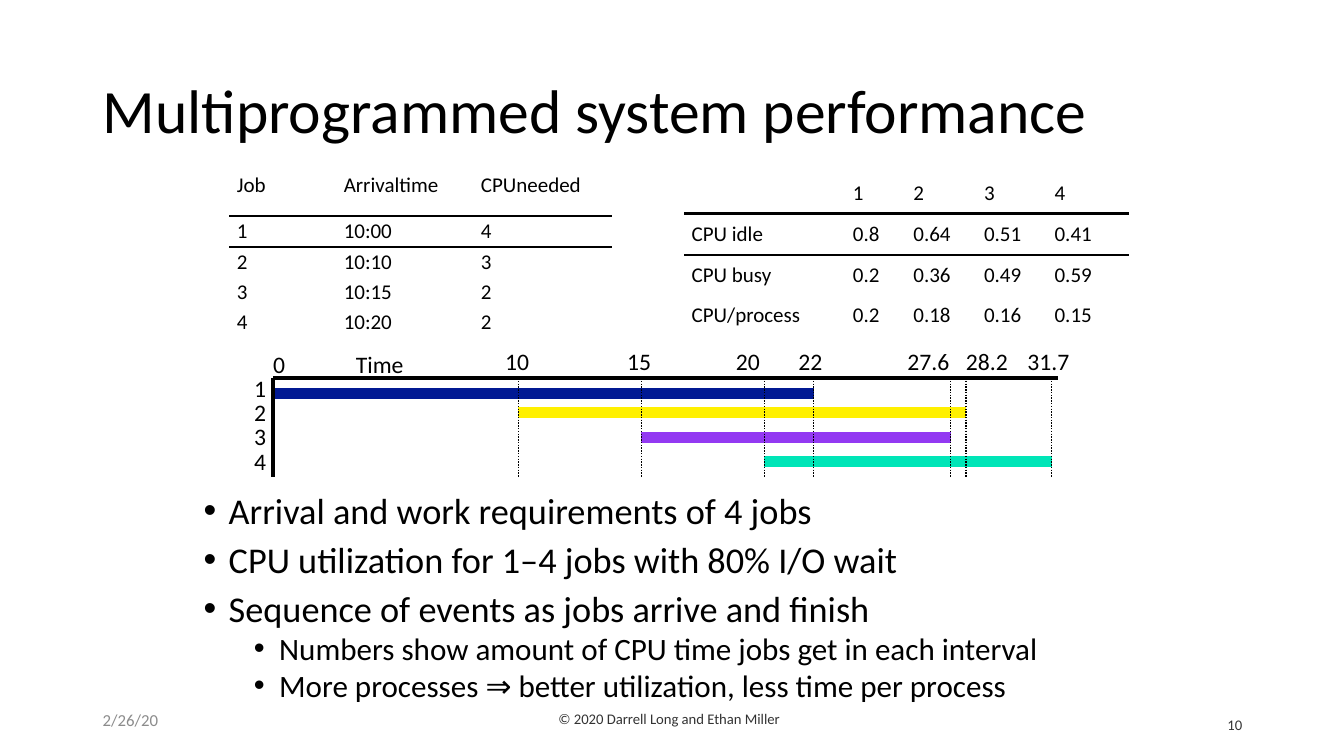
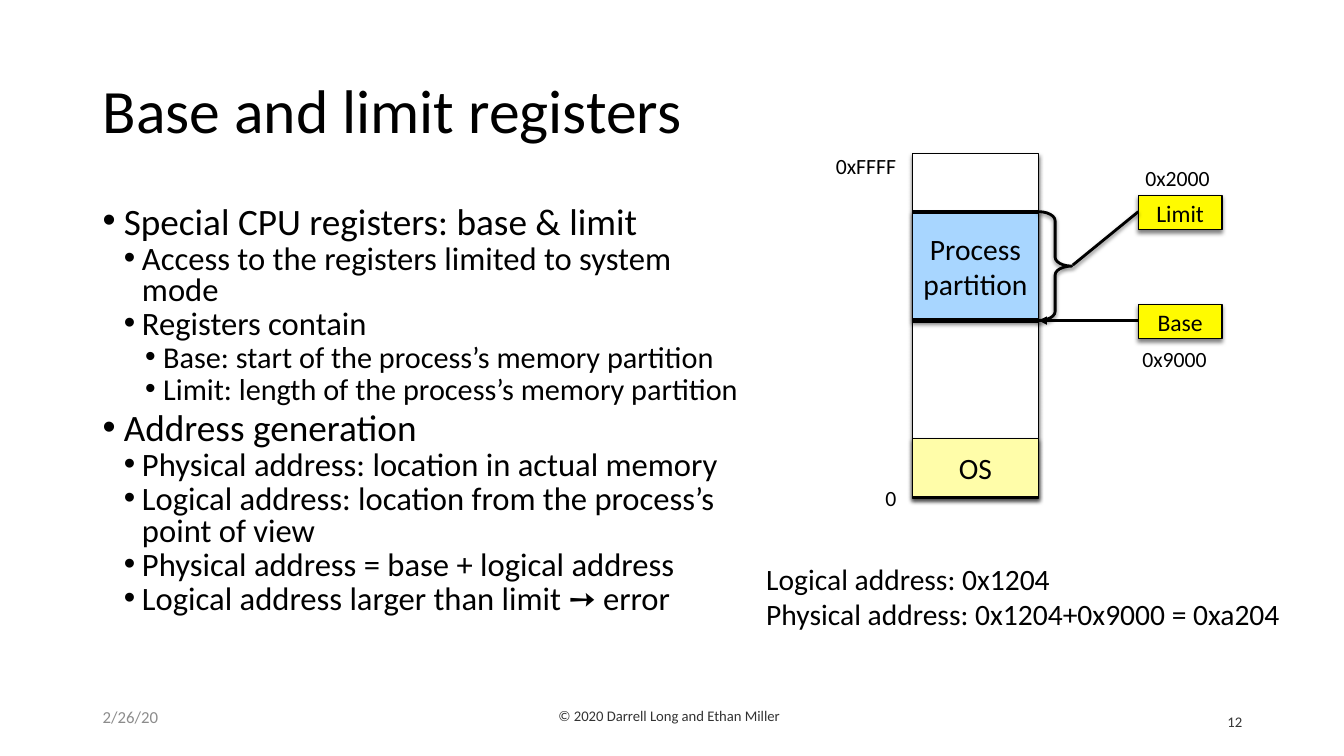
from lxml import etree
from pptx import Presentation
from pptx import util as u
from pptx.dml.color import RGBColor
from pptx.enum import dml, shapes, text
from pptx.oxml.ns import qn

BLACK = RGBColor(0x00, 0x00, 0x00)
WHITE = RGBColor(0xFF, 0xFF, 0xFF)
CREDIT_GREY = RGBColor(0x33, 0x33, 0x33)
DATE_GREY = RGBColor(0x8C, 0x8C, 0x8C)
NAVY = RGBColor(0x01, 0x19, 0x93)
GOLD = RGBColor(0xFF, 0xF0, 0x00)
PURPLE = RGBColor(0x93, 0x39, 0xF2)
TEAL = RGBColor(0x00, 0xE5, 0xB7)
SKY = RGBColor(0xA8, 0xD6, 0xFF)
CREAM = RGBColor(0xFF, 0xFD, 0xA9)
YELLOW = RGBColor(0xFF, 0xFB, 0x00)

EMU_PER_PX = 9144
LEFT, CENTER, RIGHT = text.PP_ALIGN.LEFT, text.PP_ALIGN.CENTER, text.PP_ALIGN.RIGHT
TOP, MIDDLE = text.MSO_ANCHOR.TOP, text.MSO_ANCHOR.MIDDLE


def px(*lengths):
    return [u.Emu(round(length * EMU_PER_PX)) for length in lengths]


def add_xml(parent, tag, **attributes):
    return etree.SubElement(parent, qn(tag), attributes)


class Deck:
    font = "Calibri"

    def __init__(self):
        self.prs = Presentation()
        self.prs.slide_width, self.prs.slide_height = px(1333, 750)
        self.slide = None

    def new_slide(self, title, number, footer_top):
        self.slide = self.prs.slides.add_slide(self.prs.slide_layouts[6])
        heading = self.text((92, 40, 1150, 145), title, 44, margins=(10, 5))
        heading.text_frame.paragraphs[0].line_spacing = 0.9
        self.text((1156, footer_top, 86, 40), number, 10.5, CREDIT_GREY, RIGHT,
                  margins=(10, 5))
        self.text((544, footer_top, 575, 40), "© 2020 Darrell Long and Ethan Miller",
                  10.5, CREDIT_GREY, anchor=TOP, margins=(10, 5))
        self.text((92, footer_top, 136, 40), "2/26/20", 12, DATE_GREY,
                  anchor=TOP, margins=(10, 5))

    def fill_paragraph(self, paragraph, words, size, colour=BLACK, align=LEFT):
        paragraph.text = words
        paragraph.alignment = align
        for run in paragraph.runs:
            run.font.name = self.font
            run.font.size = u.Pt(size)
            run.font.color.rgb = colour

    def frame(self, shape, margins, anchor=MIDDLE, wrap=True):
        frame = shape.text_frame
        frame.word_wrap = wrap
        frame.vertical_anchor = anchor
        frame.margin_left, frame.margin_top = px(*margins)
        frame.margin_right, frame.margin_bottom = px(*margins)
        return frame

    def text(self, box, words, size, colour=BLACK, align=LEFT, anchor=MIDDLE,
             margins=(1, 1), wrap=True):
        label = self.slide.shapes.add_textbox(*px(*box))
        frame = self.frame(label, margins, anchor, wrap)
        self.fill_paragraph(frame.paragraphs[0], words, size, colour, align)
        return label

    def bullets(self, box, levels, items):
        body = self.slide.shapes.add_textbox(*px(*box))
        frame = self.frame(body, (10, 5), TOP)
        for index, (level, words) in enumerate(items):
            size, margin, hang, before = levels[level]
            paragraph = frame.add_paragraph() if index else frame.paragraphs[0]
            paragraph.level = level
            properties = paragraph._p.get_or_add_pPr()
            left, indent = px(margin, -hang)
            properties.set("marL", str(left))
            properties.set("indent", str(indent))
            add_xml(properties, "a:buFont", typeface="Arial")
            add_xml(properties, "a:buChar", char="•")
            paragraph.line_spacing = 0.8
            paragraph.space_before = u.Pt(before if index else 0)
            self.fill_paragraph(paragraph, words, size)

    def rule(self, cell, tag):
        border = etree.Element(qn(tag), w=str(u.Pt(2)))
        add_xml(add_xml(border, "a:solidFill"), "a:srgbClr", val=str(BLACK))
        cell._tc.get_or_add_tcPr().insert(0, border)

    def table(self, left, top, widths, heights, rows):
        box = px(left, top, sum(widths), sum(heights))
        table = self.slide.shapes.add_table(len(rows), len(widths), *box).table
        table.first_row = table.horz_banding = False
        for column, width in zip(table.columns, px(*widths)):
            column.width = width
        for row, height in zip(table.rows, px(*heights)):
            row.height = height
        for r, row in enumerate(rows):
            for c, words in enumerate(row):
                cell = table.cell(r, c)
                cell.fill.background()
                cell.vertical_anchor = MIDDLE
                cell.margin_left, cell.margin_right = px(7, 0)
                cell.margin_top = cell.margin_bottom = 0
                self.fill_paragraph(cell.text_frame.paragraphs[0], words, 15)
                if r < 2:
                    self.rule(cell, "a:lnT" if r else "a:lnB")

    def cast_shadow(self, effects):
        shadow = add_xml(effects, "a:outerShdw", blurRad=str(u.Pt(3)),
                         dist=str(u.Pt(2)), dir="5400000", rotWithShape="0")
        add_xml(add_xml(shadow, "a:srgbClr", val=str(BLACK)), "a:alpha", val="50000")

    def line(self, start, end, width, colour=BLACK, dotted=False, arrow=False,
             shadow=False):
        line = self.slide.shapes.add_connector(
            shapes.MSO_CONNECTOR.STRAIGHT, *px(*start, *end))
        line.line.width = u.Pt(width)
        line.line.color.rgb = colour
        if dotted:
            line.line.dash_style = dml.MSO_LINE.ROUND_DOT
        properties = line._element.spPr
        if arrow:
            add_xml(properties.find(qn("a:ln")), "a:tailEnd", type="triangle")
        effects = add_xml(properties, "a:effectLst")
        if shadow:
            self.cast_shadow(effects)

    def shape(self, box, fill=None, words="", size=21.1, width=1,
              kind=shapes.MSO_SHAPE.RECTANGLE):
        shape = self.slide.shapes.add_shape(kind, *px(*box))
        shape.shadow.inherit = False
        self.cast_shadow(shape._element.spPr.find(qn("a:effectLst")))
        if fill is None:
            shape.fill.background()
        else:
            shape.fill.solid()
            shape.fill.fore_color.rgb = fill
        shape.line.color.rgb = BLACK
        shape.line.width = u.Pt(width)
        if words:
            frame = self.frame(shape, (4, 4))
            self.fill_paragraph(frame.paragraphs[0], words, size, align=CENTER)
        return shape


def performance_slide(deck):
    deck.new_slide("Multiprogrammed system performance", "10", 699)
    deck.bullets((192, 488, 949, 222), [(25.9, 25, 25, 10), (22.2, 75, 25, 5)], [
        (0, "Arrival and work requirements of 4 jobs"),
        (0, "CPU utilization for 1–4 jobs with 80% I/O wait"),
        (0, "Sequence of events as jobs arrive and finish"),
        (1, "Numbers show amount of CPU time jobs get in each interval"),
        (1, "More processes ⇒ better utilization, less time per process"),
    ])
    deck.table(228, 154, [106, 136, 136], [60, 31, 30, 30, 30], [
        ["Job", "Arrivaltime", "CPUneeded"],
        ["1", "10:00", "4"],
        ["2", "10:10", "3"],
        ["3", "10:15", "2"],
        ["4", "10:20", "2"],
    ])
    deck.table(679, 171, [160, 60, 70, 70, 80], [41, 41, 40, 40], [
        ["", "1", "2", "3", "4"],
        ["CPU idle", "0.8", "0.64", "0.51", "0.41"],
        ["CPU busy", "0.2", "0.36", "0.49", "0.59"],
        ["CPU/process", "0.2", "0.18", "0.16", "0.15"],
    ])

    axis_left, axis_top, axis_bottom = 271, 375, 473

    def time_x(minute):
        return round(axis_left + 24.35 * minute)

    jobs = [(0, 22, 390, NAVY), (10, 28.2, 409, GOLD),
            (15, 27.6, 434, PURPLE), (20, 31.7, 458, TEAL)]
    for job, (start, finish, bar_y, colour) in enumerate(jobs):
        deck.line((time_x(start), bar_y), (time_x(finish), bar_y), 8, colour)
        deck.text((252, 374 + 24 * job, 12, 22), str(job + 1), 16.9, margins=(0, 0))
    deck.line((axis_left, axis_top), (1049, axis_top), 3)
    deck.line((axis_left, axis_top), (axis_left, axis_bottom), 3)

    events = [(10, 500), (15, 621), (20, 729), (22, 791),
              (27.6, 899), (28.2, 957), (31.7, 1018)]
    for minute, label_left in events:
        x = time_x(minute)
        deck.line((x, axis_top), (x, axis_bottom), 1, dotted=True)
        deck.text((label_left, 347, 60, 22), str(minute), 16.9)
    deck.text((270, 347, 25, 29), "0", 16.9)
    deck.text((352, 347, 66, 29), "Time", 16.9)


def registers_slide(deck):
    deck.new_slide("Base and limit registers", "12", 696)
    levels = [(26.6, 21, 21, 4.9), (23.3, 39, 18, 2.1), (21.6, 60, 18, 2.1)]
    deck.bullets((92, 200, 656, 476), levels, [
        (0, "Special CPU registers: base & limit"),
        (1, "Access to the registers limited to system mode"),
        (1, "Registers contain"),
        (2, "Base: start of the process’s memory partition"),
        (2, "Limit: length of the process’s memory partition"),
        (0, "Address generation"),
        (1, "Physical address: location in actual memory"),
        (1, "Logical address: location from the process’s point of view"),
        (1, "Physical address = base + logical address"),
        (1, "Logical address larger than limit ➙ error"),
    ])

    memory_left, memory_width = 905, 125
    memory_right = memory_left + memory_width
    limit_y, base_y = 210, 318
    register_left = 1129
    for top, height, fill, words in [(152, 342, WHITE, ""),
                                     (limit_y, base_y - limit_y, SKY, "Process partition"),
                                     (435, 58, CREAM, "OS")]:
        deck.shape((memory_left, top, memory_width, height), fill, words)
    for name, top in [("Limit", 194), ("Base", 302)]:
        deck.shape((register_left, top, 83, 34), YELLOW, name, 16.9)
    for y in (base_y, limit_y):
        deck.line((memory_left, y), (memory_right, y), 3)
    deck.line((register_left, base_y), (memory_right, base_y), 2, arrow=True)
    brace = deck.shape((memory_right, limit_y, 33, base_y - limit_y), width=2,
                       kind=shapes.MSO_SHAPE.RIGHT_BRACE)
    brace.adjustments[0] = 0.27
    deck.line((1064, 263), (register_left, limit_y), 2, shadow=True)

    for address, left, top, width in [("0", 874, 477, 19), ("0xFFFF", 825, 148, 68),
                                      ("0x2000", 1132, 159, 73),
                                      ("0x9000", 1129, 339, 73)]:
        deck.text((left, top, width, 34), address, 15.5, margins=(4, 4), wrap=False)
    deck.text((756, 552, 524, 79),
              "Logical address: 0x1204\nPhysical address: 0x1204+0x9000 = 0xa204",
              21.1, margins=(4, 4))


def main():
    deck = Deck()
    performance_slide(deck)
    registers_slide(deck)
    deck.prs.save("out.pptx")


if __name__ == "__main__":
    main()
